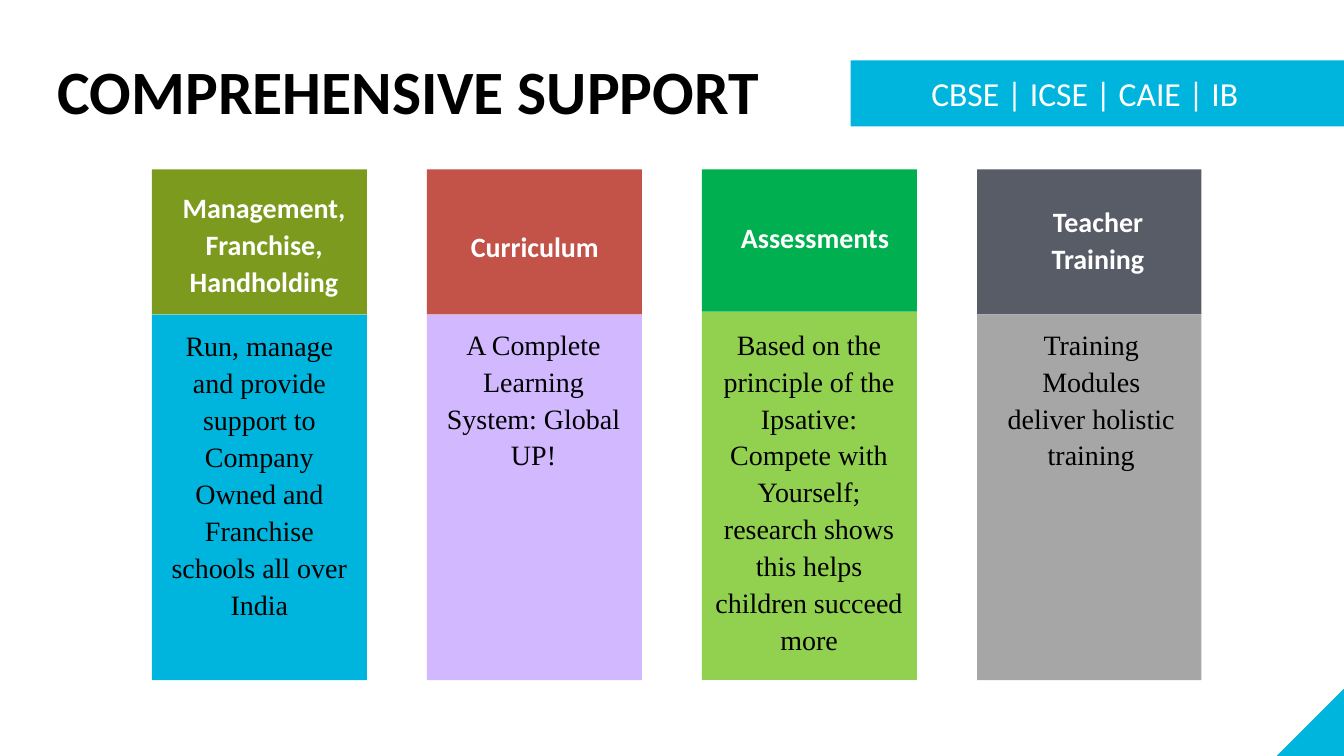
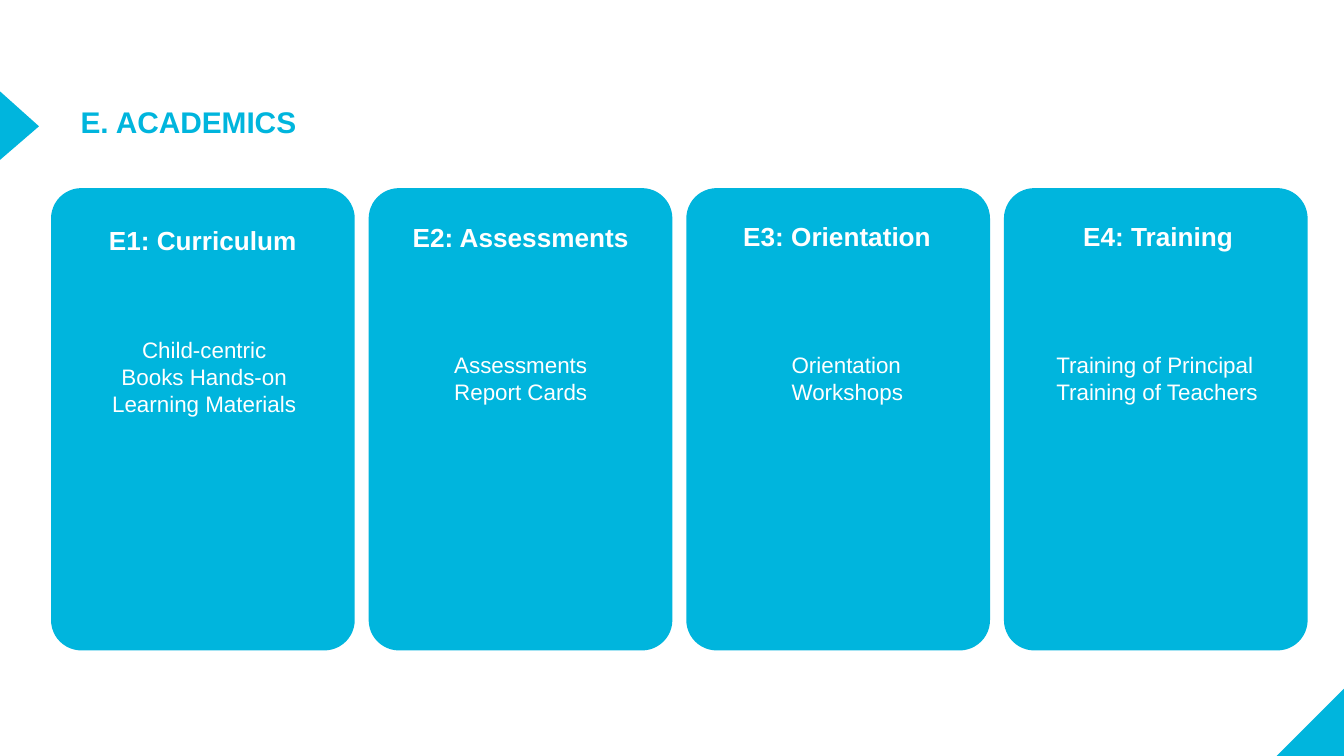
import pptx
import pptx.dml.color
import pptx.enum.shapes
import pptx.enum.text
import pptx.util

Inches = pptx.util.Inches
SHAPE = pptx.enum.shapes.MSO_SHAPE
ALIGN = pptx.enum.text.PP_ALIGN
ANCHOR = pptx.enum.text.MSO_ANCHOR

CYAN, WHITE, BLACK = "00B5DD", "FFFFFF", "000000"
HEADING = {"name": "Calibri", "size": pptx.util.Pt(15), "bold": True}
DETAIL = {"name": "Times New Roman", "size": pptx.util.Pt(15)}
CARD_HEADING = {"name": "Arial", "size": pptx.util.Pt(14), "bold": True}
CARD_DETAIL = {"name": "Arial", "size": pptx.util.Pt(12)}


def paint(shape, color):
    shape.shadow.inherit = False
    shape.fill.solid()
    shape.fill.fore_color.rgb = pptx.dml.color.RGBColor.from_string(color)
    shape.line.fill.background()


def write(shape, text, font, color, align=ALIGN.LEFT, spacing=1.0,
          anchor=ANCHOR.TOP, left_inset=0, top_inset=0):
    """Fill a shape with one paragraph per line of text."""
    frame = shape.text_frame
    frame.text = text
    settings = {
        "word_wrap": True, "auto_size": pptx.enum.text.MSO_AUTO_SIZE.NONE,
        "vertical_anchor": anchor, "margin_left": Inches(left_inset),
        "margin_top": Inches(top_inset), "margin_right": 0, "margin_bottom": 0,
    }
    for key, value in settings.items():
        setattr(frame, key, value)
    for paragraph in frame.paragraphs:
        paragraph.alignment = align
        paragraph.line_spacing = spacing
        for key, value in font.items():
            setattr(paragraph.font, key, value)
        paragraph.font.color.rgb = pptx.dml.color.RGBColor.from_string(color)


prs = pptx.Presentation()
prs.slide_width = Inches(10)
prs.slide_height = prs.slide_width * 9 // 16
layout = prs.slide_layouts[5]
support = prs.slides.add_slide(layout)
academics = prs.slides.add_slide(layout)

# Titles: slide, text, box, font, colour, placement
titles = [
    (support, "COMPREHENSIVE SUPPORT", (0.34, 0.34, 5.48, 0.66),
     {"name": "Calibri", "size": pptx.util.Pt(33), "bold": True}, BLACK,
     {"left_inset": 0.09, "top_inset": 0.05}),
    (academics, "E. ACADEMICS", (0.49, 0.56, 9.03, 0.72),
     {"name": "Arial", "size": pptx.util.Pt(16), "bold": True}, CYAN,
     {"left_inset": 0.11, "top_inset": 0.21}),
]
for slide, text, box, font, color, placement in titles:
    title = slide.shapes.title
    title.left, title.top, title.width, title.height = map(Inches, box)
    write(title, text, font, color, **placement)

# Cyan triangles: the title pointer, and the corner that the layout shares
right, bottom, corner_side = prs.slide_width, prs.slide_height, Inches(0.5)
outlines = [
    [(0, Inches(0.68)), (Inches(0.29), Inches(0.94)), (0, Inches(1.19))],
    [(right, bottom - corner_side), (right - corner_side, bottom),
     (right, bottom)],
]
for outline in outlines:
    builder = academics.shapes.build_freeform(*outline[0])
    builder.add_line_segments(outline[1:], close=True)
    triangle = builder.convert_to_shape()
    paint(triangle, CYAN)
corner = triangle.element
corner.nvSpPr.cNvPr.set("id", "20")
layout.shapes.element.append(corner)

# Slide 1: board banner and support columns
banner = support.shapes.add_shape(
    SHAPE.RECTANGLE, Inches(6.33), Inches(0.45), Inches(3.67), Inches(0.49))
paint(banner, CYAN)
write(banner, "CBSE | ICSE | CAIE | IB",
      {"name": "Calibri", "size": pptx.util.Pt(18)}, WHITE,
      anchor=ANCHOR.MIDDLE, left_inset=0.6)

COLUMN_LEFT, LAST_COLUMN_LEFT = 1.13, 7.27
COLUMN_TOP, COLUMN_BOTTOM = 1.26, 5.06
# width, split, head colour, body colour,
# heading, its (left, top, width), detail, its (left, top, width)
columns = [
    (1.6, 2.34, "7C9B1E", CYAN,
     "Management, Franchise, Handholding", (1.28, 1.39, 1.37),
     "Run, manage and provide support to Company Owned and Franchise "
     "schools all over India", (1.24, 2.42, 1.38)),
    (1.6, 2.34, "C35248", "D1B8FF",
     "Curriculum", (3.38, 1.71, 1.2),
     "A Complete Learning System: Global UP!", (3.3, 2.41, 1.34)),
    (1.6, 2.32, "00AF50", "92D050",
     "Assessments", (5.38, 1.64, 1.37),
     "Based on the principle of the Ipsative: Compete with Yourself; "
     "research shows this helps children succeed more", (5.31, 2.41, 1.42)),
    (1.67, 2.34, "575C67", "A6A6A6",
     "Teacher Training", (7.72, 1.5, 0.9),
     "Training Modules deliver holistic training", (7.45, 2.41, 1.34)),
]
column_pitch = (LAST_COLUMN_LEFT - COLUMN_LEFT) / (len(columns) - 1)
for i, (width, split, head_color, body_color, heading, heading_at,
        detail, detail_at) in enumerate(columns):
    left = COLUMN_LEFT + i * column_pitch
    for start, end, color in [(split, COLUMN_BOTTOM, body_color),
                              (COLUMN_TOP, split, head_color)]:
        block = support.shapes.add_shape(
            SHAPE.RECTANGLE, Inches(left), Inches(start),
            Inches(width), Inches(end - start))
        paint(block, color)
    heading_spacing = 1.1 if " " in heading else 1.0
    for text, (x, y, w), height, font, color, spacing in [
            (heading, heading_at, 0.78, HEADING, WHITE, heading_spacing),
            (detail, detail_at, 2.32, DETAIL, BLACK, 1.1)]:
        label = support.shapes.add_textbox(*map(Inches, (x, y, w, height)))
        write(label, text, font, color, ALIGN.CENTER, spacing)

# Slide 2: academic cards
CARD_LEFT, LAST_CARD_LEFT = 0.38, 7.47
# heading, its (left, top), detail, its (left, top, width), detail alignment
cards = [
    ("E1: Curriculum", (0.81, 1.67),
     "Child-centric Books Hands-on Learning Materials", (0.82, 2.5, 1.4),
     ALIGN.CENTER),
    ("E2: Assessments", (3.07, 1.65),
     "Assessments\nReport Cards", (3.38, 2.61, 1.2), ALIGN.LEFT),
    ("E3: Orientation", (5.53, 1.64),
     "Orientation\nWorkshops", (5.89, 2.61, 1.2), ALIGN.LEFT),
    ("E4: Training", (8.06, 1.64),
     "Training of Principal\nTraining of Teachers", (7.86, 2.61, 1.7),
     ALIGN.LEFT),
]
card_pitch = (LAST_CARD_LEFT - CARD_LEFT) / (len(cards) - 1)
for i, (heading, (x, y), detail, detail_at, align) in enumerate(cards):
    card = academics.shapes.add_shape(
        SHAPE.ROUNDED_RECTANGLE, Inches(CARD_LEFT + i * card_pitch),
        Inches(1.4), Inches(2.26), Inches(3.44))
    card.adjustments[0] = 0.1
    paint(card, CYAN)
    heading_label = academics.shapes.add_textbox(
        *map(Inches, (x, y, 1.65, 0.25)))
    write(heading_label, heading, CARD_HEADING, WHITE)
    detail_label = academics.shapes.add_textbox(
        *map(Inches, (*detail_at, 0.61)))
    write(detail_label, detail, CARD_DETAIL, WHITE, align)

prs.save("out.pptx")
